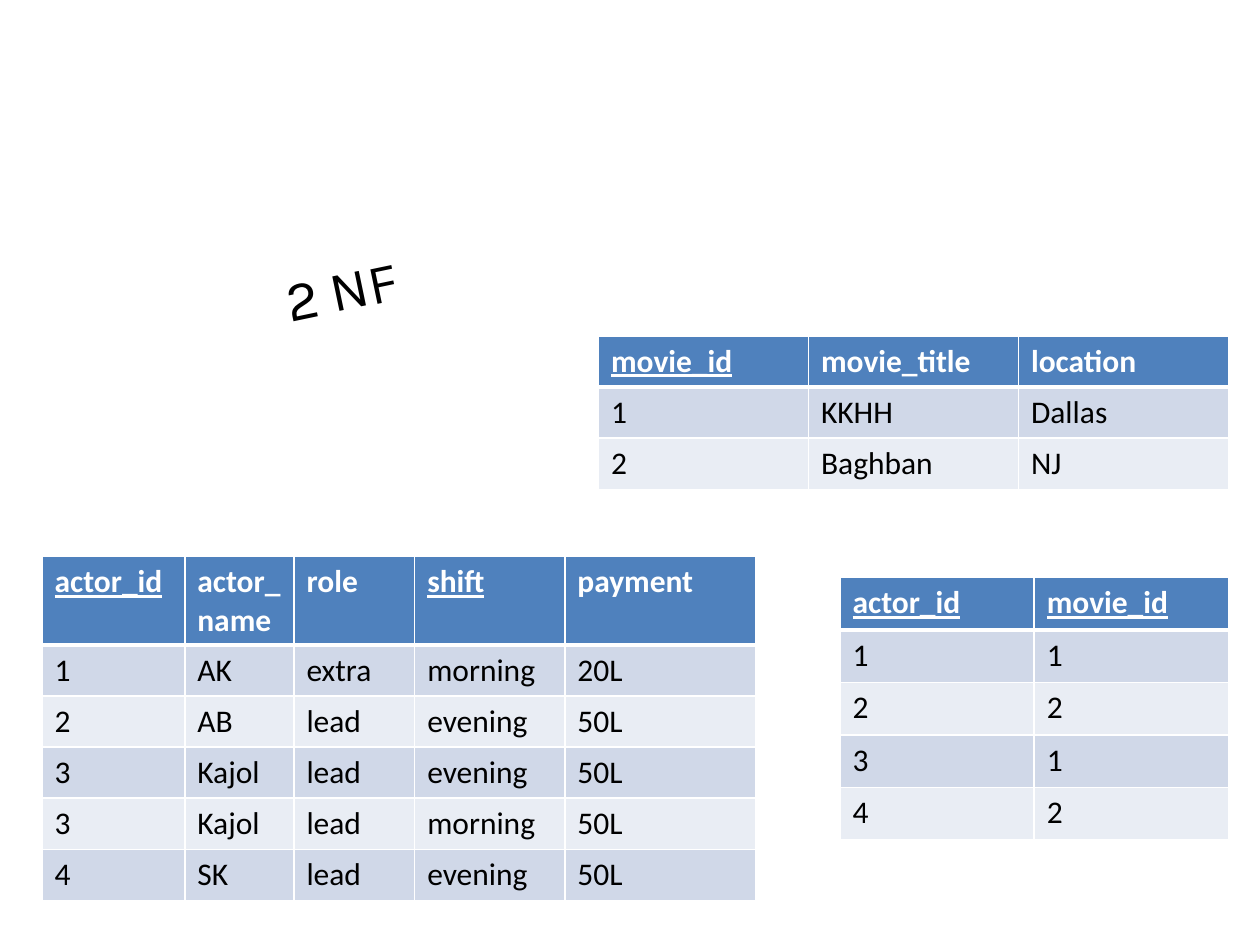
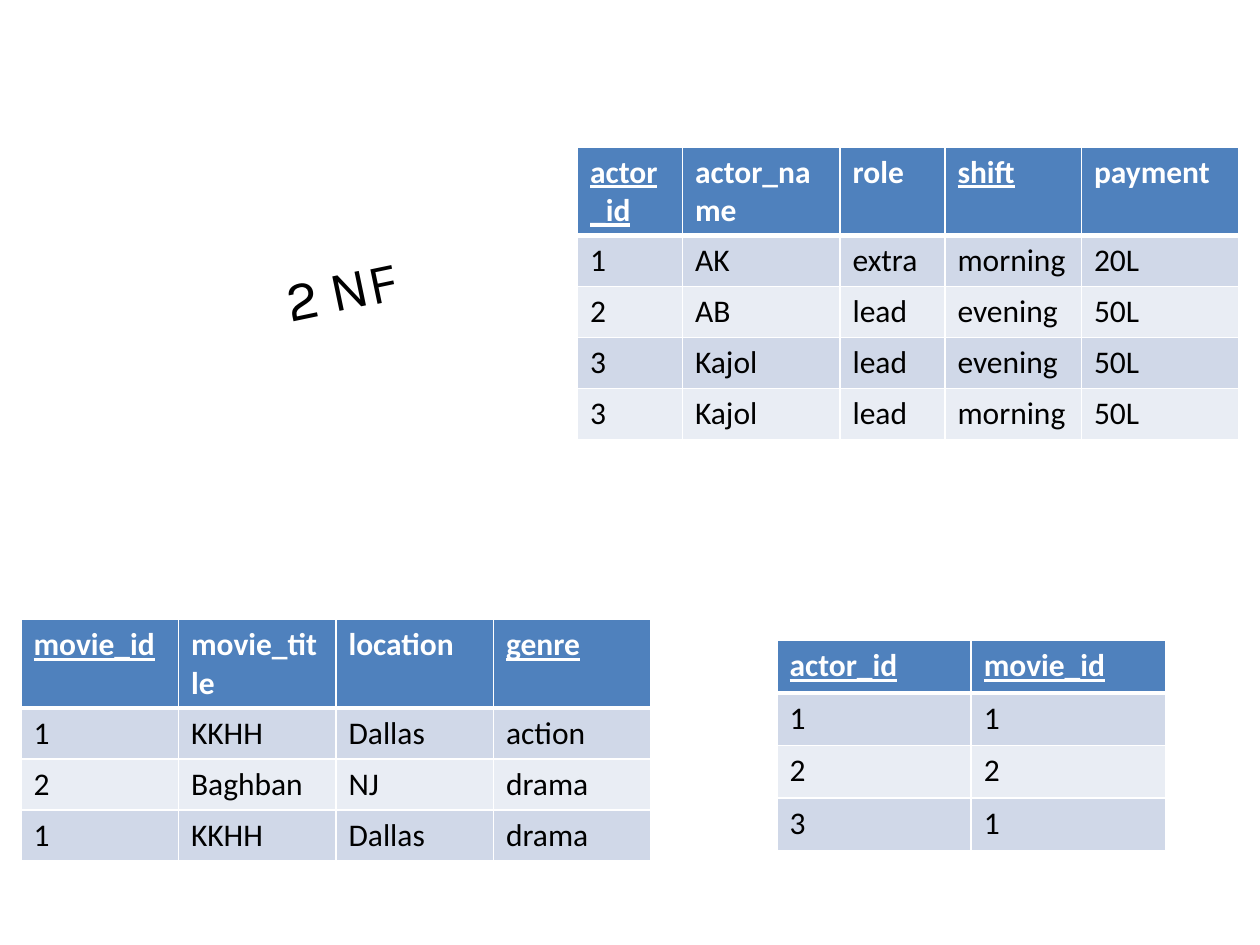
from lxml import etree
from pptx import Presentation
from pptx import util as u
from pptx.dml.color import RGBColor
from pptx.enum import text
from pptx.oxml.ns import qn

COLORS = {"header": "4F81BD", "odd": "D0D8E8", "even": "E9EDF4",
          "rule": "FFFFFF", "header_text": "FFFFFF", "text": "000000"}
KEY_COLUMNS = {"actor_id", "movie_id", "shift", "genre"}
CELL = u.Inches(1) / 12
ROW_HEIGHT = 4.87
TALL_HEADER = 8.42

ACTORS = """actor_id actor_name role shift payment
1 AK extra morning 20L
2 AB lead evening 50L
3 Kajol lead evening 50L
3 Kajol lead morning 50L"""
MOVIES = """movie_id movie_title location
1 KKHH Dallas
2 Baghban NJ"""
MOVIE_GENRES = """movie_id movie_title location genre
1 KKHH Dallas action
2 Baghban NJ drama
1 KKHH Dallas drama"""
CASTING = """actor_id movie_id
1 1
2 2
3 1"""


class Deck:
    """Draws titles and relation tables on a grid of 120 columns by 90 rows."""

    def __init__(self):
        self.presentation = Presentation()
        self.presentation.slide_width = self.grid(120)
        self.presentation.slide_height = self.grid(90)
        self.slide = None

    def grid(self, units):
        return u.Emu(round(units * CELL))

    def add_slide(self, title):
        self.slide = self.presentation.slides.add_slide(self.presentation.slide_layouts[6])
        self.title(title)

    def run(self, paragraph, content, font, size, color):
        run = paragraph.add_run()
        run.text = content
        run.font.name = font
        run.font.size = u.Pt(size)
        run.font.color.rgb = RGBColor.from_string(COLORS[color])
        return run

    def title(self, content):
        shape = self.slide.shapes.add_textbox(*map(self.grid, (17, 20, 31, 15)))
        shape.rotation = 348.2
        frame = shape.text_frame
        frame.word_wrap = True
        frame.vertical_anchor = text.MSO_ANCHOR.MIDDLE
        paragraph = frame.paragraphs[0]
        paragraph.alignment = text.PP_ALIGN.CENTER
        self.run(paragraph, content, "Karla", 32, "text")

    def borders(self, cell, top, bottom):
        properties = cell._tc.get_or_add_tcPr()
        for side, points in (("L", 1), ("R", 1), ("T", top), ("B", bottom)):
            line = etree.SubElement(properties, qn(f"a:ln{side}"), w=str(u.Pt(points)))
            fill = etree.SubElement(line, qn("a:solidFill"))
            etree.SubElement(fill, qn("a:srgbClr"), val=COLORS["rule"])

    def table(self, left, top, widths, relation, row_height=ROW_HEIGHT, header_height=None):
        records = [line.split() for line in relation.splitlines()]
        heights = [header_height or row_height] + [row_height] * (len(records) - 1)
        box = left, top, sum(widths), sum(heights)
        table = self.slide.shapes.add_table(
            len(records), len(widths), *map(self.grid, box)).table
        for column, width in zip(table.columns, widths):
            column.width = self.grid(width)
        for index, (record, height) in enumerate(zip(records, heights)):
            table.rows[index].height = self.grid(height)
            for position, value in enumerate(record):
                self.cell(table.cell(index, position), index, value)

    def cell(self, cell, index, value):
        header = index == 0
        self.borders(cell, 3 if index == 1 else 1, 3 if header else 1)
        band = "header" if header else "odd" if index % 2 else "even"
        cell.fill.solid()
        cell.fill.fore_color.rgb = RGBColor.from_string(COLORS[band])
        run = self.run(cell.text_frame.paragraphs[0], value, "Calibri", 18,
                       "header_text" if header else "text")
        run.font.bold = header
        run.font.underline = header and value in KEY_COLUMNS


def main():
    deck = Deck()

    deck.add_slide("2 NF")
    deck.table(4, 53, (13.6, 10.4, 11.5, 14.3, 18.2), ACTORS + "\n4 SK lead evening 50L",
               header_height=TALL_HEADER)
    deck.table(57, 32, (20,) * 3, MOVIES)
    deck.table(80, 55, (18.5,) * 2, CASTING + "\n4 2", row_height=5)

    deck.add_slide("2 NF")
    deck.table(55, 14, (10, 15, 10, 13, 15), ACTORS, header_height=TALL_HEADER)
    deck.table(2, 59, (15,) * 4, MOVIE_GENRES, header_height=TALL_HEADER)
    deck.table(74, 61, (18.5,) * 2, CASTING, row_height=5)

    deck.presentation.save("out.pptx")


if __name__ == "__main__":
    main()
